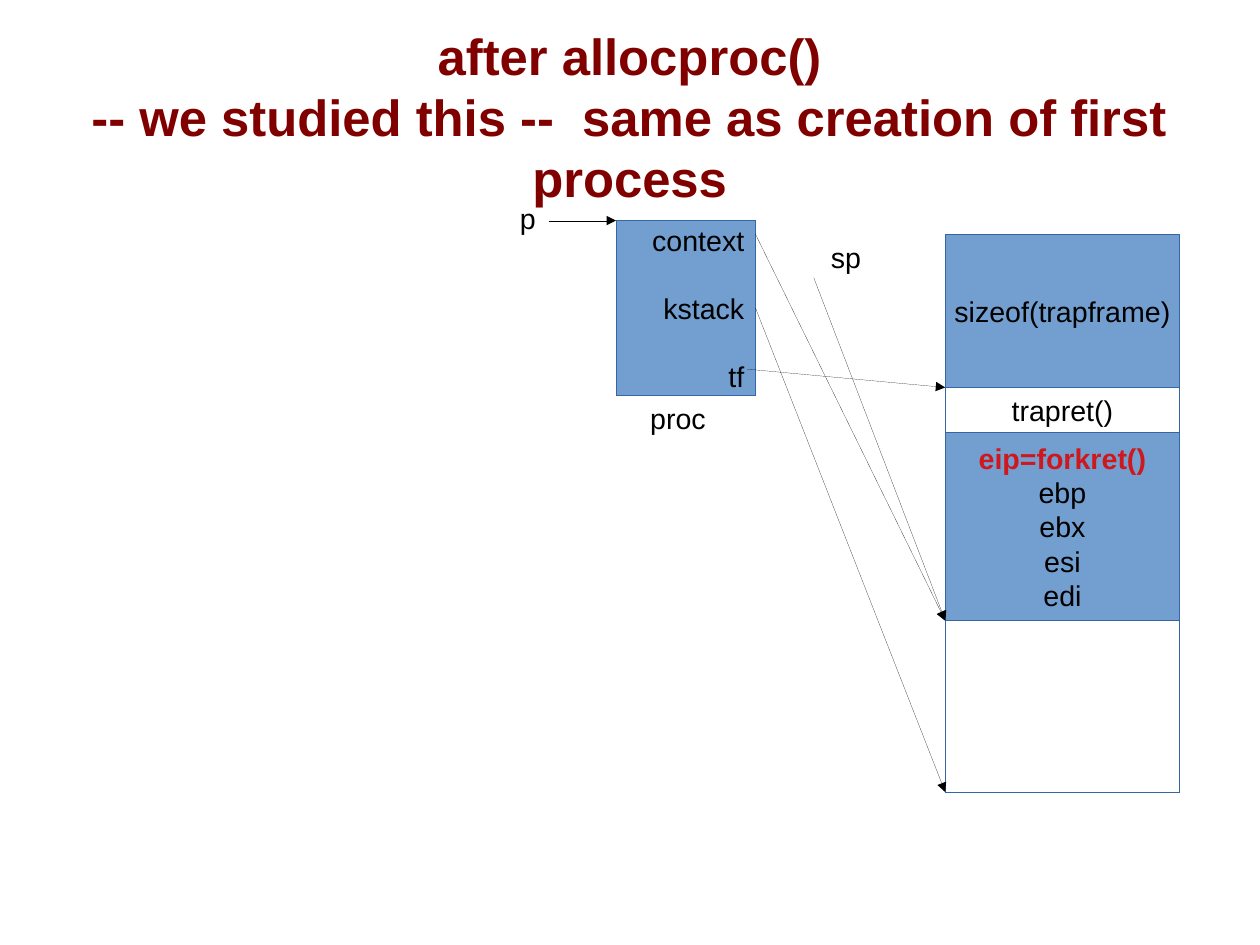
from lxml import etree
from pptx import Presentation
from pptx.dml.color import RGBColor
from pptx.enum.shapes import MSO_CONNECTOR, MSO_SHAPE
from pptx.enum.text import MSO_ANCHOR, PP_ALIGN
from pptx.oxml.ns import qn
from pptx.util import Inches, Pt

RECT, STRAIGHT = MSO_SHAPE.RECTANGLE, MSO_CONNECTOR.STRAIGHT
TOP, MIDDLE = MSO_ANCHOR.TOP, MSO_ANCHOR.MIDDLE
LEFT, CENTER, RIGHT = PP_ALIGN.LEFT, PP_ALIGN.CENTER, PP_ALIGN.RIGHT
BLUE, EDGE, BLACK, RED, MAROON = "729FCF", "3465A4", "000000", "CE181E", "800000"
HAIRLINE = Pt(0.01)
BODY = {"name": "Arial", "size": Pt(18), "bold": False}
HEADING = {"name": "Arial", "size": Pt(32), "bold": True}


def color(value):
    return RGBColor.from_string(value)


def write(shape, lines, align, layout, style=BODY, ink=BLACK, gap=0):
    frame = shape.text_frame
    for name, value in layout.items():
        setattr(frame, name, value)
    for index, line in enumerate(lines):
        paragraph = frame.add_paragraph() if index else frame.paragraphs[0]
        paragraph.text = line
        paragraph.alignment = align
        paragraph.space_before = Pt(gap if index else 0)
        for name, value in style.items():
            setattr(paragraph.font, name, value)
        paragraph.font.color.rgb = color(ink)


# Slide of 28 by 21 cm
prs = Presentation()
prs.slide_width, prs.slide_height = Inches(28 / 2.54), Inches(21 / 2.54)
slide = prs.slides.add_slide(prs.slide_layouts[6])
shapes = slide.shapes

# Title
title = shapes.add_textbox(Inches(0.55), Inches(0.27), Inches(9.92), Inches(1.5))
title_layout = {"word_wrap": True, "vertical_anchor": MIDDLE, "margin_left": 0,
                "margin_right": 0, "margin_top": 0, "margin_bottom": 0}
write(title, ["after allocproc()\v-- we studied this --  same as creation of first process"],
      CENTER, title_layout, HEADING, MAROON)

# Kernel stack, its filled parts and the proc structure
stack_x, stack_y, stack_w = 8.27, 2.05, 2.05
trapframe_end, context_y, context_end, stack_end = 3.39, 3.78, 5.43, 6.93
proc_x, proc_y, proc_w = 5.39, 1.93, 1.22
proc_right = proc_x + proc_w
centered = {"word_wrap": False, "vertical_anchor": MIDDLE}
below_trapframe = {"word_wrap": False, "vertical_anchor": TOP, "margin_top": Inches(1.39)}

blocks = {}
for block, x, y, width, bottom, fill, lines, align, layout, gap in [
    ("stack", stack_x, stack_y, stack_w, stack_end, None,
     ["trapret()"], CENTER, below_trapframe, 0),
    ("proc", proc_x, proc_y, proc_w, 3.46, BLUE,
     ["context", "kstack", "tf"], RIGHT, centered, 21.5),
    ("trapframe", stack_x, stack_y, stack_w, trapframe_end, BLUE,
     ["sizeof(trapframe)"], CENTER, centered, 0),
    ("context", stack_x, context_y, stack_w, context_end, BLUE,
     ["eip=forkret()", "ebp", "ebx", "esi", "edi"], CENTER, centered, 0),
]:
    box = shapes.add_shape(RECT, Inches(x), Inches(y), Inches(width), Inches(bottom - y))
    box.shadow.inherit = False
    if fill:
        box.fill.solid()
        box.fill.fore_color.rgb = color(fill)
    else:
        box.fill.background()
    box.line.color.rgb = color(EDGE)
    box.line.width = HAIRLINE
    write(box, lines, align, layout, gap=gap)
    blocks[block] = box

# Saved instruction pointer stands out
eip = blocks["context"].text_frame.paragraphs[0].font
eip.bold = True
eip.color.rgb = color(RED)

# Labels
for label, x, y, width in [("sp", 7.17, 2.05, 0.55), ("p", 4.45, 1.71, 0.4),
                           ("proc", 5.59, 3.46, 1.02)]:
    caption = shapes.add_textbox(Inches(x), Inches(y), Inches(width), Inches(0.38))
    write(caption, [label], LEFT, {"word_wrap": True})

# Pointers
pointers = {}
for pointer, x1, y1, x2, y2 in [
    ("kstack", proc_right, 2.68, stack_x, stack_end),
    ("p", 4.8, proc_y, proc_x, proc_y),
    ("sp", 7.12, 2.43, stack_x, context_end),
    ("tf", 6.54, 3.23, stack_x, trapframe_end),
    ("context", proc_right, stack_y, stack_x, context_end),
]:
    arrow = shapes.add_connector(STRAIGHT, Inches(x1), Inches(y1), Inches(x2), Inches(y2))
    arrow.line.color.rgb = color(BLACK)
    arrow.line.width = HAIRLINE
    etree.SubElement(arrow.line._get_or_add_ln(), qn("a:tailEnd"), type="triangle")
    etree.SubElement(arrow._element.spPr, qn("a:effectLst"))
    pointers[pointer] = arrow
pointers["kstack"].begin_connect(blocks["proc"], 3)

prs.save("out.pptx")
